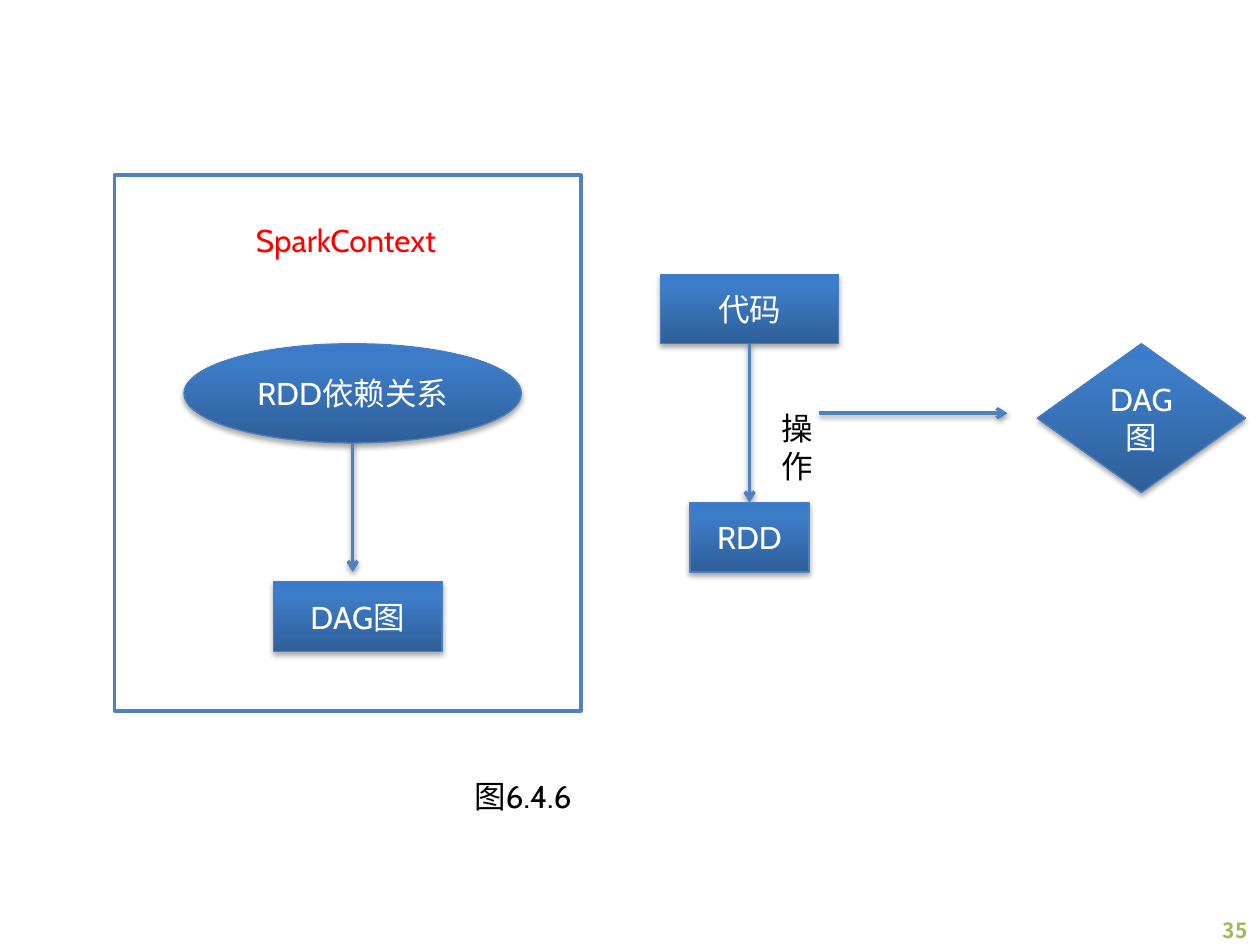
import pptx
import pptx.util
import pptx.dml.color
import pptx.enum.shapes
import pptx.enum.text
import pptx.oxml
import pptx.oxml.ns

COLORS = {
    "white": "FFFFFF", "black": "000000", "red": "FF0000", "green": "9BBB59",
    "accent": "4F81BD", "edge": "4B7EBC",
    "deep": "2F5F99", "mid": "3D7CC7", "light": "3A7CCB",
}
CELL = pptx.util.Mm(2)
SHAPES = pptx.enum.shapes.MSO_SHAPE
ALIGN = pptx.enum.text.PP_ALIGN
ANCHOR = pptx.enum.text.MSO_ANCHOR
NS = pptx.oxml.ns.nsdecls("a")


def rgb(name):
    return pptx.dml.color.RGBColor.from_string(COLORS[name])


def cells(box, column, row, columns, rows):
    return [round(n * CELL) for n in (box[0] + column, box[1] + row, columns, rows)]


def write(shape, text, size=18, color="black", font="Cabin", bold=False,
          align=ALIGN.LEFT, anchor=ANCHOR.TOP):
    frame = shape.text_frame
    frame.word_wrap = True
    frame.vertical_anchor = anchor
    paragraph = frame.paragraphs[0]
    paragraph.alignment = align
    run = paragraph.add_run()
    run.text = text
    run.font.size = pptx.util.Pt(size)
    run.font.bold = bold
    run.font.name = font
    run.font.color.rgb = rgb(color)
    run.font._element.find(pptx.oxml.ns.qn("a:latin")).addnext(
        pptx.oxml.parse_xml(f'<a:ea {NS} typeface="Noto Sans CJK SC"/>'))


def outline(shape, color, width):
    shape.line.color.rgb = rgb(color)
    shape.line.width = pptx.util.Pt(width)


def cast_shadow(shape, distance, opacity):
    shape._element.spPr.append(pptx.oxml.parse_xml(
        f'<a:effectLst {NS}><a:outerShdw blurRad="40000" dist="{distance}" '
        f'dir="5400000" rotWithShape="0"><a:srgbClr val="{COLORS["black"]}">'
        f'<a:alpha val="{opacity * 1000}"/></a:srgbClr></a:outerShdw></a:effectLst>'))


def add_label(slide, place, text, **style):
    write(slide.shapes.add_textbox(*place), text, **style)


def add_node(slide, preset, place, text):
    node = slide.shapes.add_shape(preset, *place)
    outline(node, "edge", 0.75)
    stops = "".join(
        f'<a:gs pos="{share * 1000}"><a:srgbClr val="{COLORS[name]}"/></a:gs>'
        for share, name in ((0, "deep"), (80, "mid"), (100, "light")))
    properties = node._element.spPr
    properties.find(pptx.oxml.ns.qn("a:prstGeom")).addnext(pptx.oxml.parse_xml(
        f'<a:gradFill {NS} rotWithShape="1"><a:gsLst>{stops}</a:gsLst>'
        '<a:lin ang="16200000" scaled="0"/></a:gradFill>'))
    cast_shadow(node, 23000, 35)
    write(node, text, color="white", align=ALIGN.CENTER, anchor=ANCHOR.MIDDLE)


def add_arrow(slide, box, column, row, columns=0, rows=0):
    left, top, width, height = cells(box, column, row, columns, rows)
    arrow = slide.shapes.add_connector(
        pptx.enum.shapes.MSO_CONNECTOR.STRAIGHT, left, top, left + width, top + height)
    outline(arrow, "accent", 2)
    arrow.line._get_or_add_ln().append(
        pptx.oxml.parse_xml(f'<a:tailEnd {NS} type="arrow"/>'))
    cast_shadow(arrow, 20000, 38)


def add_context_panel(slide, box):
    panel = slide.shapes.add_shape(SHAPES.RECTANGLE, *cells(box, 0, 0, *box[2:]))
    panel.shadow.inherit = False
    panel.fill.solid()
    panel.fill.fore_color.rgb = rgb("white")
    outline(panel, "accent", 2)
    add_node(slide, SHAPES.FLOWCHART_CONNECTOR, cells(box, 7, 17, 34, 10), "RDD依赖关系")
    add_arrow(slide, box, 24, 27, rows=13)
    add_node(slide, SHAPES.RECTANGLE, cells(box, 16, 41, 17, 7), "DAG图")
    add_label(slide, cells(box, 13, 4, 23, 9), "SparkContext", color="red")


def add_code_flow(slide, box):
    add_node(slide, SHAPES.RECTANGLE, cells(box, 0, 0, 18, 7), "代码")
    add_arrow(slide, box, 9, 7, rows=16)
    add_node(slide, SHAPES.RECTANGLE, cells(box, 3, 23, 12, 7), "RDD")
    add_arrow(slide, box, 16, 14, columns=19)
    add_node(slide, SHAPES.DIAMOND, cells(box, 38, 7, 21, 15), "DAG图")
    add_label(slide, cells(box, 11, 13, 8, 9), "操作")


def add_footer(slide, box):
    add_label(slide, cells(box, 0, 0, 34, 5), "图6.4.6")
    add_label(slide, cells(box, 75, 14.2, 5.46, 3.8), "35", size=12, color="green",
              font="Noto Sans CJK SC", bold=True, align=ALIGN.RIGHT)


def main():
    deck = pptx.Presentation()
    deck.slide_width = pptx.util.Inches(10)
    deck.slide_height = pptx.util.Inches(7.5)
    slide = deck.slides.add_slide(deck.slide_layouts[6])
    add_context_panel(slide, (11.55, 17.65, 47, 54))
    add_code_flow(slide, (66.55, 27.65, 59, 30))
    add_footer(slide, (46.55, 77.65, 80.46, 18))
    deck.save("out.pptx")


if __name__ == "__main__":
    main()
